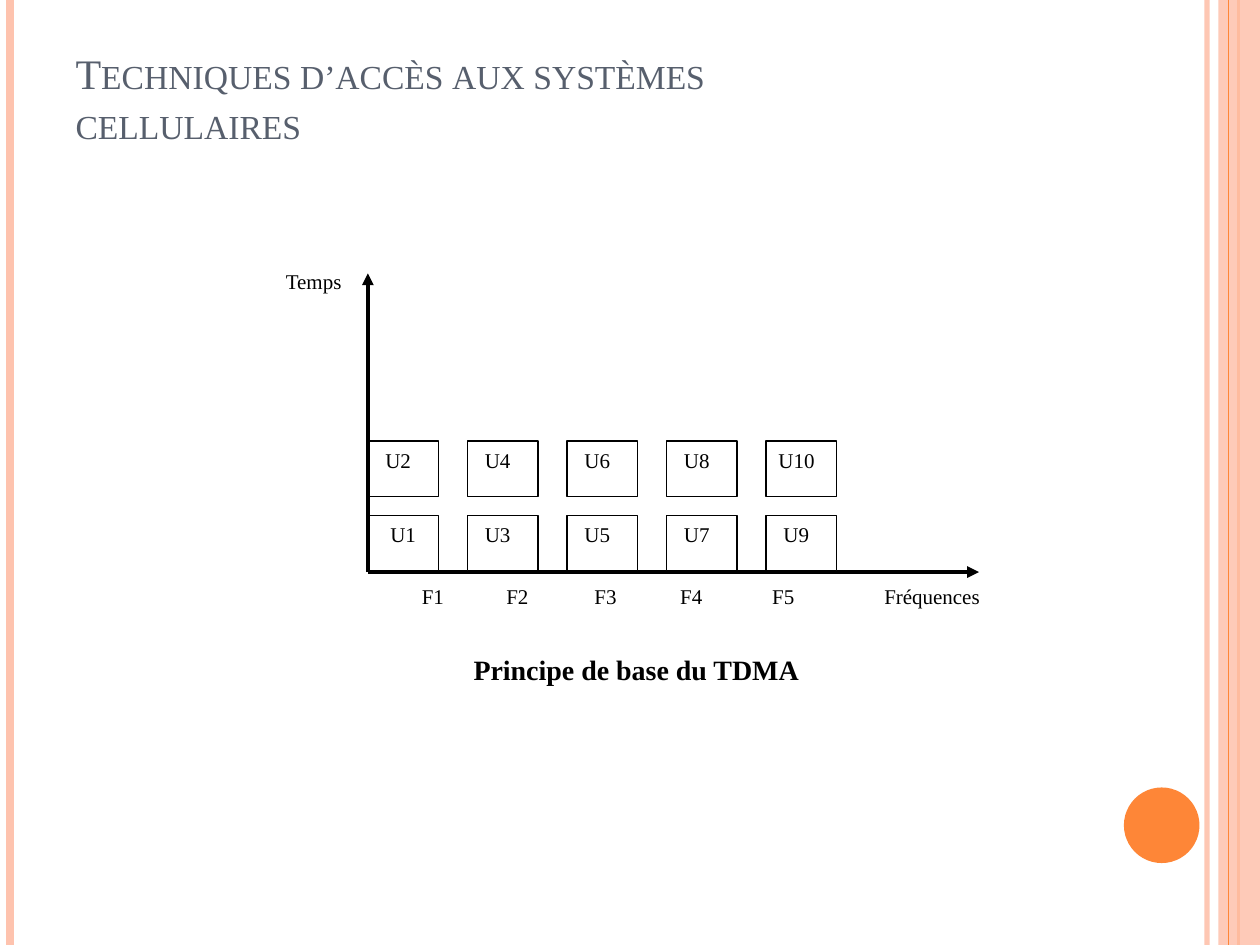
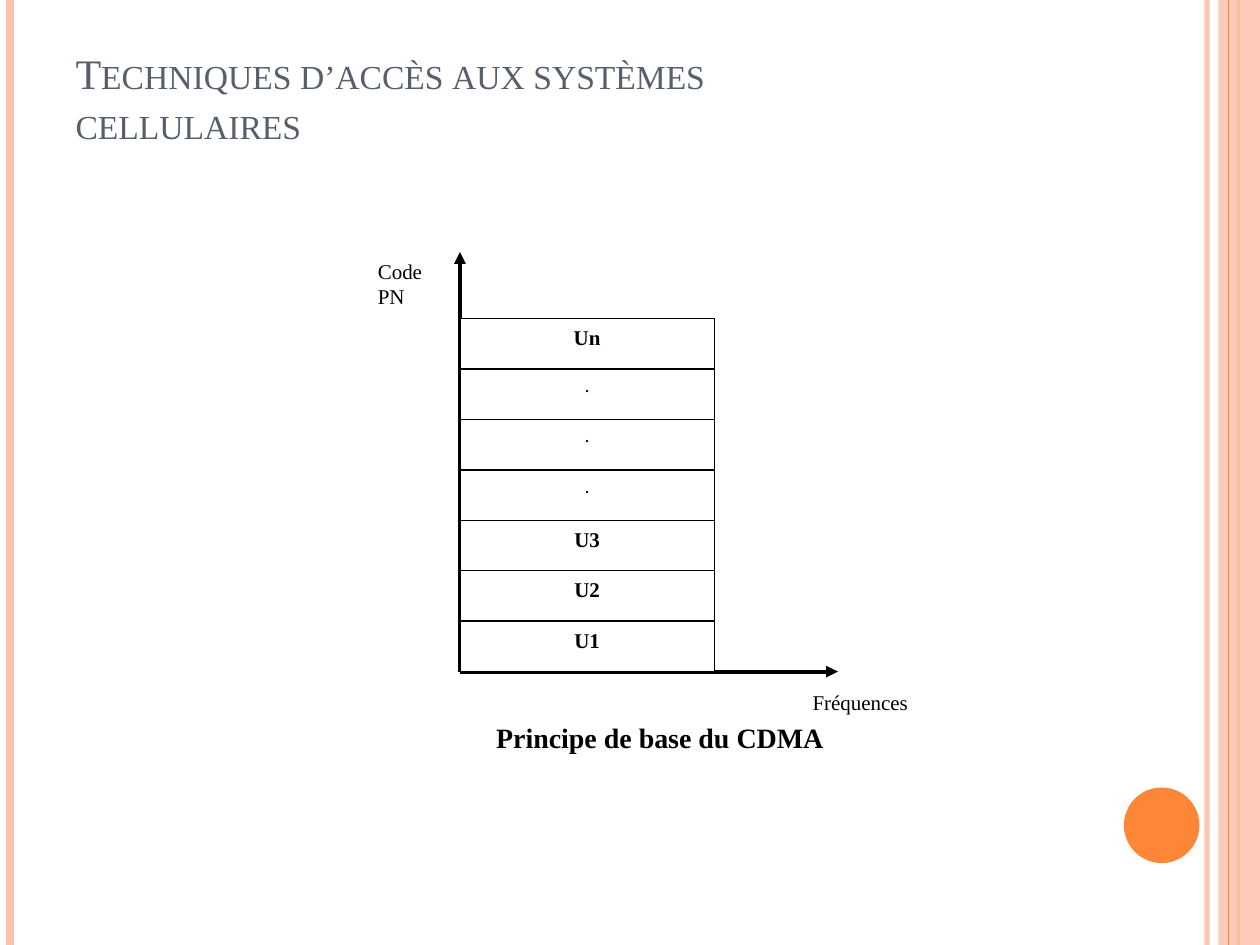
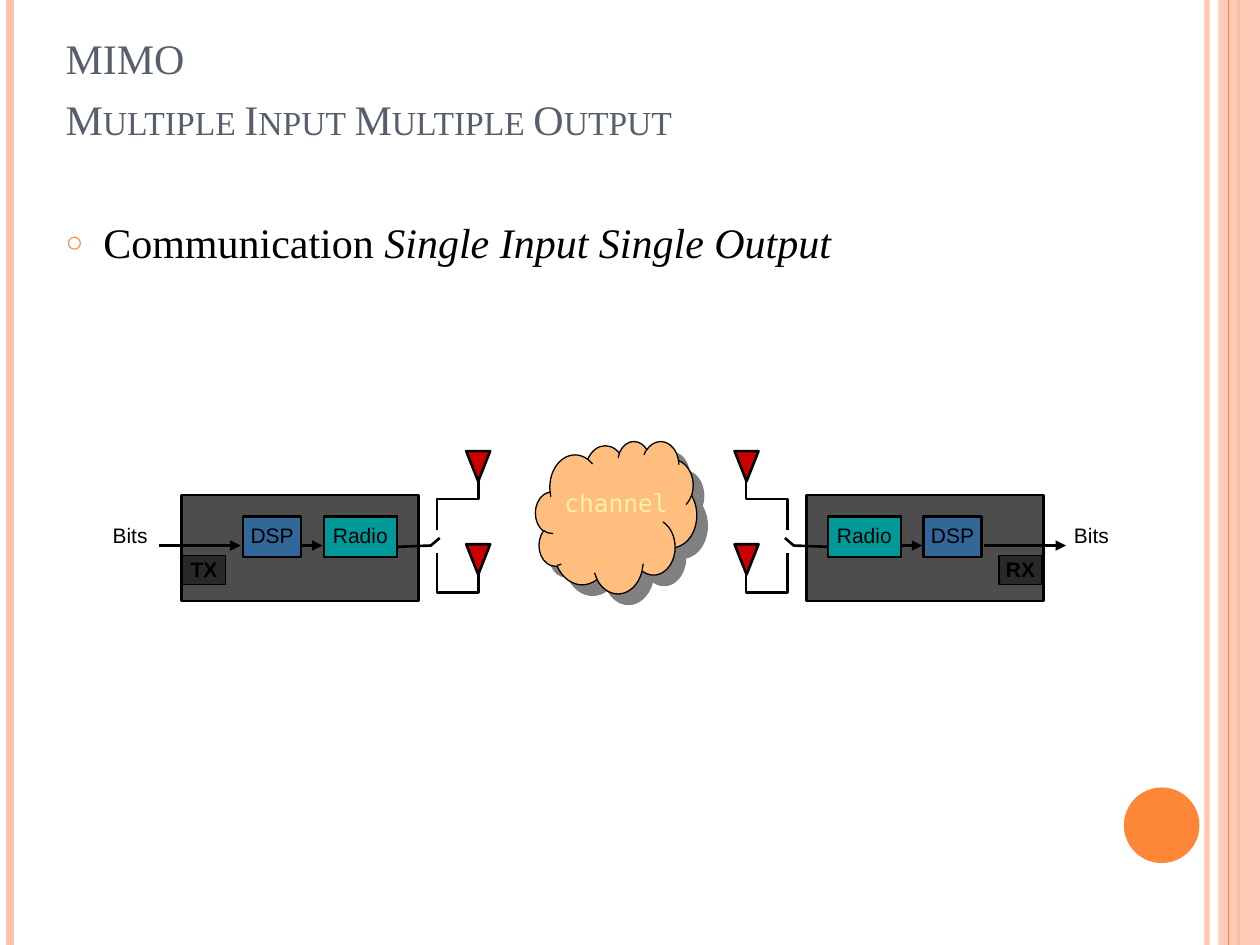
from pptx import Presentation
from pptx.dml.color import RGBColor
from pptx.enum.shapes import MSO_CONNECTOR, MSO_SHAPE
from pptx.enum.text import MSO_ANCHOR, MSO_AUTO_SIZE, PP_ALIGN
from pptx.oxml import parse_xml
from pptx.oxml.ns import nsdecls, qn
from pptx.util import Inches, Pt

STRAIGHT = MSO_CONNECTOR.STRAIGHT
RECT, OVAL = MSO_SHAPE.RECTANGLE, MSO_SHAPE.OVAL
TRIANGLE, CLOUD = MSO_SHAPE.ISOSCELES_TRIANGLE, MSO_SHAPE.CLOUD
TOP, MIDDLE = MSO_ANCHOR.TOP, MSO_ANCHOR.MIDDLE
LEFT, CENTER, RIGHT = PP_ALIGN.LEFT, PP_ALIGN.CENTER, PP_ALIGN.RIGHT

SERIF, SANS, MONO = "Times New Roman", "Arial", "DejaVu Sans Mono"
BLACK, WHITE = "000000", "FFFFFF"
ORANGE, PEACH, SLATE = "FE8637", "FEC3AE", "575F6D"
TITLE_ONLY, TITLE_AND_CONTENT = 5, 1
ACCESS_TITLE = ["Techniques d’accès aux systèmes", "cellulaires"]


def color(hex_code):
    return RGBColor.from_string(hex_code)


def inches(*lengths):
    return [Inches(length) for length in lengths]


def add_xml(parent, tag, attributes="", content=""):
    parent.append(parse_xml(
        f"<a:{tag} {nsdecls('a')} {attributes}>{content}</a:{tag}>"))


def set_opacity(shape, percent):
    for rgb in shape.element.spPr.iter(qn("a:srgbClr")):
        add_xml(rgb, "alpha", f'val="{percent * 1000}"')


def set_line(shape, hex_code, width):
    shape.line.color.rgb = color(hex_code)
    shape.line.width = Pt(width)


def add_line(slide, start, end, hex_code=BLACK, width=2.25, arrow=False):
    line = slide.shapes.add_connector(STRAIGHT, *inches(*start, *end))
    set_line(line, hex_code, width)
    if arrow:
        add_xml(line.line._get_or_add_ln(), "tailEnd", 'type="triangle"')
    add_xml(line.element.spPr, "effectLst")
    return line


def add_block(slide, kind, box, fill, line=BLACK, width=0.75):
    block = slide.shapes.add_shape(kind, *inches(*box))
    block.shadow.inherit = False
    block.fill.solid()
    block.fill.fore_color.rgb = color(fill)
    if line:
        set_line(block, line, width)
    else:
        block.line.fill.background()
    return block


def set_frame(shape, insets=(0.1, 0.05, 0.1, 0.05), anchor=TOP, wrap=True):
    frame = shape.text_frame
    frame.word_wrap = wrap
    frame.auto_size = MSO_AUTO_SIZE.NONE
    frame.vertical_anchor = anchor
    (frame.margin_left, frame.margin_top,
     frame.margin_right, frame.margin_bottom) = inches(*insets)
    return frame


def add_run(paragraph, text, size=12, font=SERIF, hex_code=BLACK,
            bold=False, italic=False):
    run = paragraph.add_run()
    run.text = text
    run.font.size, run.font.name = Pt(size), font
    run.font.bold, run.font.italic = bold, italic
    run.font.color.rgb = color(hex_code)
    return run


def write(shape, text, align=LEFT, indent=0, frame_options=None, **style):
    """Fill a shape with one formatted line; return its paragraph and run."""
    paragraph = set_frame(shape, **(frame_options or {})).paragraphs[0]
    paragraph.alignment = align
    if indent:
        paragraph._p.get_or_add_pPr().set("marL", str(Inches(indent)))
    return paragraph, add_run(paragraph, text, **style)


def add_label(slide, box, text, **options):
    return write(slide.shapes.add_textbox(*inches(*box)), text, **options)


def add_caption(slide, box, text, indent):
    add_label(slide, box, text, indent=indent, size=16, bold=True)


def decorate_master(prs, slide):
    """Draw the shared bands and disc, then hand them to the slide master."""
    band = add_block(slide, RECT, (9.67, 0, 0.33, 7.5), PEACH, None)
    set_opacity(band, 87)
    disc = add_block(slide, OVAL, (8.92, 6.25, 0.6, 0.6), ORANGE, None)
    inner, edge, outer, middle = [
        add_line(slide, (x, 0), (x, 7.5), hex_code, width)
        for x, hex_code, width in ((9.58, PEACH, 3), (0.08, PEACH, 4.5),
                                   (9.83, ORANGE, 1.5), (9.75, ORANGE, 0.75))]
    set_opacity(inner, 93)
    tree = prs.slide_master.shapes.element
    for position, part in enumerate((inner, edge, outer, band, middle, disc), 2):
        tree.insert(position, part.element)


def add_title(slide, lines, box=(0.5, 0.3, 8.17, 1.25), inset=0.08, spacing=28.6):
    title = slide.shapes.title
    title.left, title.top, title.width, title.height = inches(*box)
    paragraph = set_frame(title, (0.1, inset, 0.1, 0.05)).paragraphs[0]
    paragraph.alignment = LEFT
    paragraph.line_spacing = Pt(spacing)
    for number, line in enumerate(lines):
        if number:
            paragraph.add_line_break()
        run = add_run(paragraph, line, 24, hex_code=SLATE)
        run.font._element.set("cap", "small")


def add_bullet(slide, box, parts):
    body = slide.placeholders[1]
    body.left, body.top, body.width, body.height = inches(*box)
    paragraph = set_frame(body).paragraphs[0]
    paragraph.space_before = Pt(6)
    properties = paragraph._p.get_or_add_pPr()
    properties.set("marL", str(Inches(0.3)))
    properties.set("indent", str(Inches(-0.3)))
    add_xml(properties, "buClr", content=f'<a:srgbClr val="{ORANGE}"/>')
    add_xml(properties, "buSzPct", 'val="70000"')
    add_xml(properties, "buChar", 'char="○"')
    for text, italic in parts:
        add_run(paragraph, text, 24, italic=italic)


def draw_tdma(slide, left, top):
    """Time slots stacked over five frequencies; (left, top) is the axis tip."""
    origin = (left, top + 2.37)
    add_line(slide, origin, (left + 4.85, top + 2.37), arrow=True)
    indents = {"U1": 0.08, "U10": 0}
    for frequency in range(5):
        for slot, y in enumerate((1.92, 1.33), 1):
            user = f"U{2 * frequency + slot}"
            cell = add_block(slide, RECT, (left + 0.79 * frequency, top + y,
                                           0.56, 0.44), WHITE)
            write(cell, user, indent=indents.get(user, 0.04))
    add_line(slide, origin, (left, top), arrow=True)
    names, _ = add_label(slide, (left - 0.34, top + 2.41, 5.67, 0.3),
                         "\tF1\tF2\tF3\tF4\tF5\tFréquences")
    stops = "".join(f'<a:tab pos="{Inches(x)}" algn="l"/>'
                    for x in (0.67, 1.34, 2.04, 2.72, 3.45, 4.34))
    add_xml(names._p.get_or_add_pPr(), "tabLst", content=stops)
    add_label(slide, (left - 0.75, top - 0.09, 0.92, 0.3), "Temps")
    add_caption(slide, (left - 0.09, top + 2.96, 4.58, 0.37),
                "Principe de base du TDMA", 0.83)


def draw_cdma(slide, left, top):
    """Users stacked by code; (left, top) is the tip of the code axis."""
    origin = (left, top + 3.33)
    add_line(slide, origin, (left, top), arrow=True)
    add_line(slide, origin, (left + 3, top + 3.33), arrow=True)
    for row, user in enumerate(("Un", ".", ".", ".", "U3", "U2", "U1")):
        layer = add_block(slide, RECT, (left, top + 0.53 + 0.4 * row, 2.02, 0.4), WHITE)
        dot = user == "."
        _, run = write(layer, user, CENTER, size=14 if dot else 12, bold=True)
        if dot:
            run.font._element.set("baseline", "30000")
    add_caption(slide, (left - 0.59, top + 3.67, 4.23, 0.37),
                "Principe de base du CDMA", 0.78)
    add_label(slide, (left - 0.75, top, 0.62, 0.5), "Code PN")
    add_label(slide, (left + 2.7, top + 3.42, 1.15, 0.3), "Fréquences")


def draw_station(slide, left, top, tag, bits_x, mirrored=False):
    """Radio station with two antennas, facing right unless mirrored."""
    span = 3.12

    def place(x, y, width, height):
        return (left + (span - x - width if mirrored else x), top + y, width, height)

    def point(x, y):
        return place(x, y, 0, 0)[:2]

    def add_wire(*points):
        start, *rest = [inches(*point(*corner)) for corner in points]
        builder = slide.shapes.build_freeform(*start)
        builder.add_line_segments(rest, close=False)
        wire = builder.convert_to_shape()
        wire.shadow.inherit = False
        wire.fill.background()
        set_line(wire, BLACK, 1.5)

    add_block(slide, RECT, place(0.67, 0.35, 1.88, 0.84), "4D4D4D", width=1.5)
    for name, x, width, fill in (("Radio", 1.8, 0.58, "009999"),
                                 ("DSP", 1.16, 0.46, "336699")):
        stage = add_block(slide, RECT, place(x, 0.52, width, 0.32), fill, width=1.5)
        write(stage, name, CENTER, font=SANS,
              frame_options={"insets": (0, 0.05, 0, 0.05)})
    badge = add_block(slide, RECT, place(0.68, 0.83, 0.34, 0.23), "292929")
    write(badge, tag, CENTER, font=SANS, bold=True,
          frame_options={"insets": (0.04, 0.01, 0.04, 0.01)})
    add_label(slide, (left + bits_x, top + 0.52, 0.5, 0.3), "Bits", align=RIGHT,
              font=SANS)

    for start, end in ((0.49, 1.14), (1.63, 1.79)):
        ends = [point(start, 0.75), point(end, 0.75)]
        if mirrored:
            ends.reverse()
        add_line(slide, *ends, width=1.5, arrow=True)
    for y in (0, 0.74):
        antenna = add_block(slide, TRIANGLE, place(2.93, y, 0.19, 0.24), "CC0000",
                            width=1.5)
        antenna.rotation = 180
    add_wire((2.7, 0.63), (2.7, 0.38), (3.03, 0.38), (3.03, 0.23))
    add_wire((2.7, 0.81), (2.7, 1.12), (3.03, 1.12), (3.03, 0.96))
    add_wire((2.38, 0.76), (2.65, 0.75), (2.72, 0.69))


def draw_channel(slide, box):
    cloud = add_block(slide, CLOUD, box, "FFBE7D")
    effects = cloud.element.spPr.find(qn("a:effectLst"))
    add_xml(effects, "outerShdw",
            f'dist="{Pt(8.5)}" dir="2700000" algn="ctr" rotWithShape="0"',
            '<a:srgbClr val="808080"/>')
    write(cloud, "channel", CENTER, size=14, font=MONO, hex_code="FFF39D",
          frame_options={"insets": (0.09, 0, 0, 0.17), "anchor": MIDDLE,
                         "wrap": False})


def main():
    prs = Presentation()
    prs.slide_width, prs.slide_height = inches(10, 7.5)
    tdma, cdma, mimo = [prs.slides.add_slide(prs.slide_layouts[layout])
                        for layout in (TITLE_ONLY, TITLE_ONLY, TITLE_AND_CONTENT)]
    decorate_master(prs, tdma)

    add_title(tdma, ACCESS_TITLE)
    draw_tdma(tdma, 2.92, 2.17)

    add_title(cdma, ACCESS_TITLE)
    draw_cdma(cdma, 3.65, 2)

    add_title(mimo, ["MIMO", "Multiple Input Multiple Output"],
              (0.42, 0.17, 9, 1.25), inset=0, spacing=35)
    add_bullet(mimo, (0.42, 1.67, 9, 1.17),
               [("Communication ", False), ("Single Input Single Output", True)])
    draw_channel(mimo, (4.25, 3.5, 1.28, 1.21))
    draw_station(mimo, 0.77, 3.58, "TX", bits_x=0)
    draw_station(mimo, 5.83, 3.58, "RX", bits_x=2.57, mirrored=True)
    prs.save("out.pptx")


if __name__ == "__main__":
    main()
